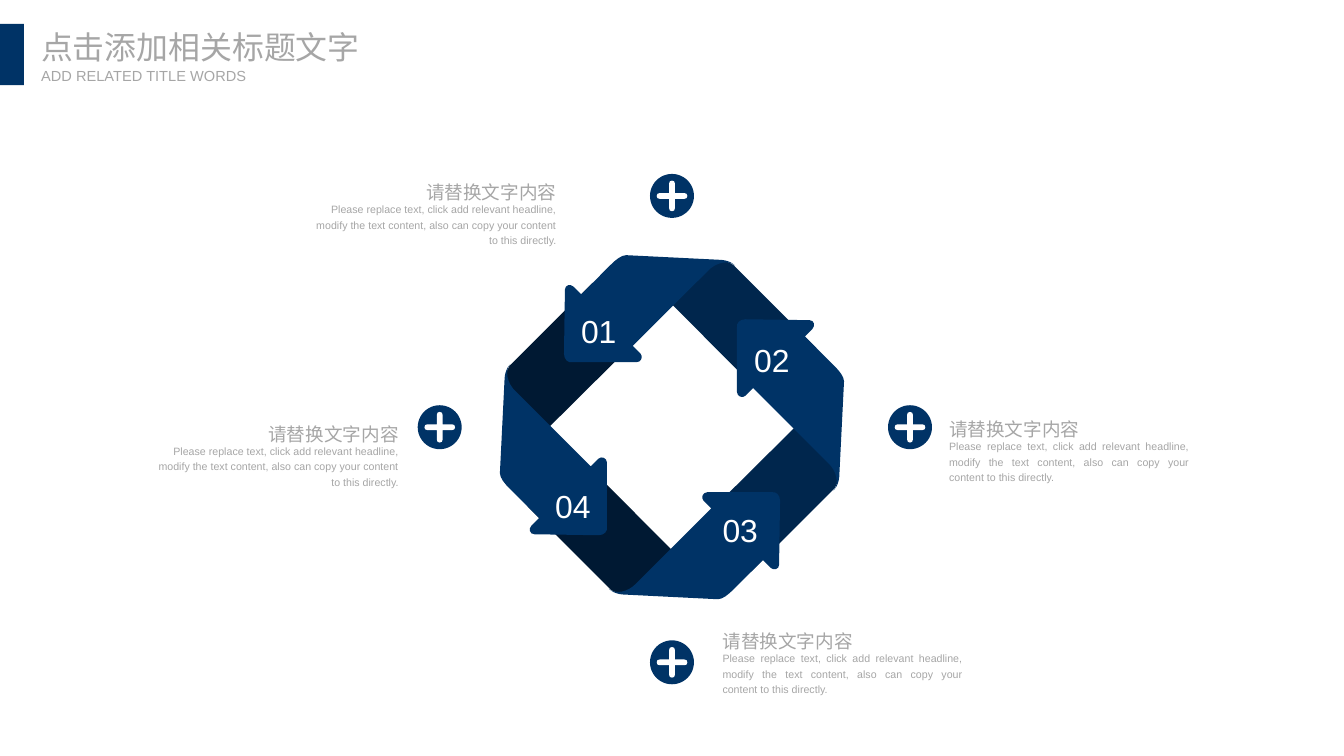
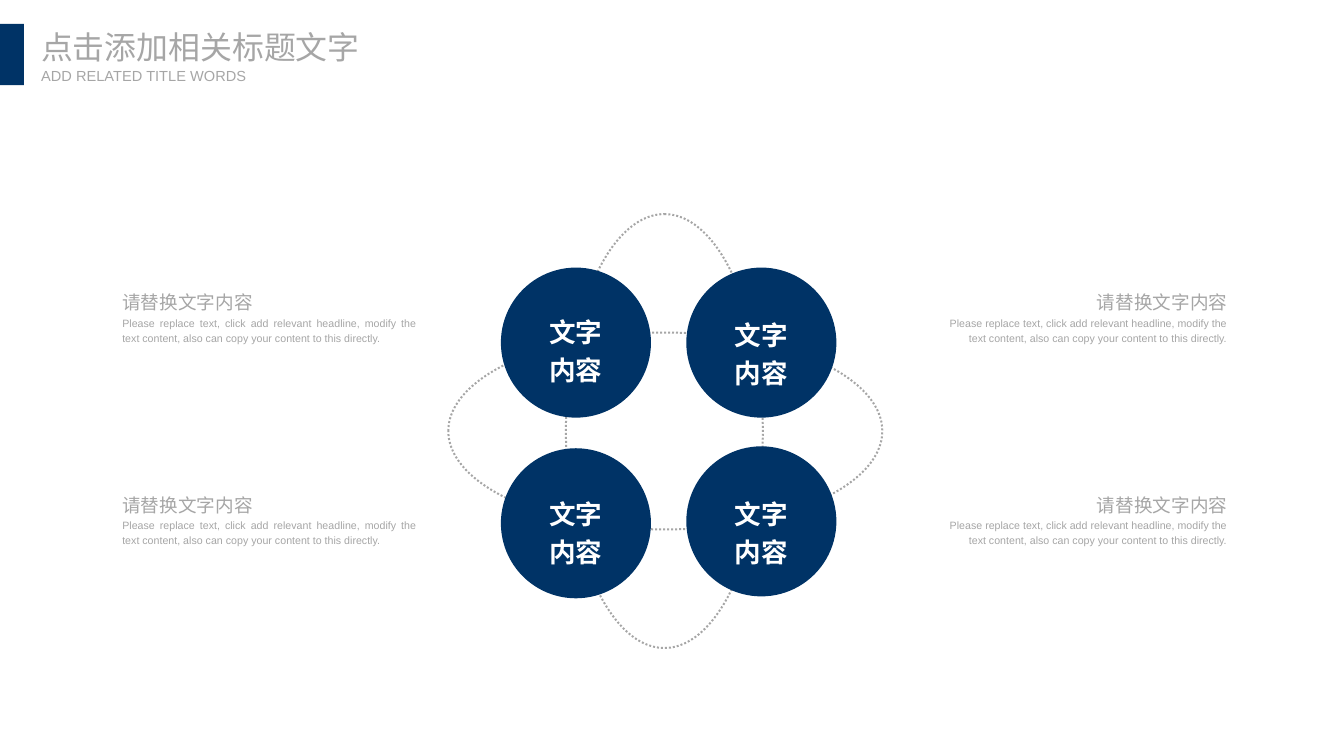
from lxml import etree
from pptx import Presentation
from pptx.dml.color import RGBColor
from pptx.enum.dml import MSO_LINE
from pptx.enum.shapes import MSO_SHAPE
from pptx.enum.text import PP_ALIGN
from pptx.oxml.ns import qn
from pptx.util import Inches, Pt

OVAL, RECT = MSO_SHAPE.OVAL, MSO_SHAPE.RECTANGLE
LEFT, RIGHT = PP_ALIGN.LEFT, PP_ALIGN.RIGHT
MID, FULL = PP_ALIGN.CENTER, PP_ALIGN.JUSTIFY
DOTS = MSO_LINE.ROUND_DOT

HUE = {"navy": "003366", "dusk": "00264D", "night": "001933",
       "grey": "A6A6A6", "white": "FFFFFF"}

# Text styles
TITLE = {"size": Pt(24), "name": "Noto Sans CJK SC"}
SUB = {"size": Pt(11), "name": "Arial"}
HEAD = {"size": Pt(14), "name": "Arial"}
BODY = {"size": Pt(8), "name": "Arial"}
COUNT = {"size": Pt(24), "name": "Arial"}
DISC = {"size": Pt(20), "name": "Arial", "bold": True}

HEADING = "请替换文字内容"
COPY = ("Please replace text, click add relevant headline, modify the text "
        "content, also can copy your content to this directly.")

# The slide is a grid of square cells, 1406 columns by 791 rows
deck = Presentation()
deck.slide_width, deck.slide_height = Inches(14.06), Inches(7.91)
CELL = deck.slide_width // 1406
blank = deck.slide_layouts[6]
ring, loops = [deck.slides.add_slide(blank) for _ in range(2)]


def label(page, box, words, style, hue="grey", align=LEFT, gap=1.2, pad=(10, 5)):
    frame = page.shapes.add_textbox(*[n * CELL for n in box]).text_frame
    frame.word_wrap = True
    frame.margin_left = frame.margin_right = pad[0] * CELL
    frame.margin_top = frame.margin_bottom = pad[1] * CELL
    para = frame.paragraphs[0]
    para.alignment, para.line_spacing = align, gap
    run = para.add_run()
    run.text = words
    for key, value in style.items():
        setattr(run.font, key, value)
    run.font.color.rgb = RGBColor.from_string(HUE[hue])


def coat(shape, hue):
    shape.shadow.inherit = False
    shape.fill.solid()
    shape.fill.fore_color.rgb = RGBColor.from_string(HUE[hue])
    shape.line.fill.background()


# Outlines around a centre: two numbers make a corner, six make a curve
STRIP = [(53, -174), (-46, -175), (98, -30), (151, -83), (64, -170),
         (59, -173, 55, -174, 53, -174)]
ARROW = [(180, -48), (180, -53, 175, -59, 170, -64), (139, -95), (147, -103),
         (150, -106, 149, -112, 144, -112), (77, -113),
         (71, -113, 67, -109, 68, -104), (68, -37),
         (68, -32, 74, -30, 77, -33), (85, -41), (163, 37),
         (173, 46, 175, 60, 169, 66), (169, 66, 174, 62, 175, 52), (180, -48)]
ARM = [(-3, -3), (-3, -13), (-3, -15, -2, -16, 0, -16), (2, -16, 3, -15, 3, -13)]

# Slide 1: round buttons
jobs = []
for x, y in [(952, 447), (460, 447), (703, 205), (703, 693)]:
    box = [n * CELL for n in (x - 23, y - 23, 46, 46)]
    coat(ring.shapes.add_shape(OVAL, *box), "navy")
    jobs.append((ARM, (x, y), range(4), "white"))

# Folded ring: one strip and one arrow, each turned by quarters
jobs += [(STRIP, (703, 447), [turn], hue)
         for turn, hue in enumerate(["dusk", "dusk", "night", "night"])]
jobs += [(ARROW, (703, 447), [turn], "navy") for turn in range(4)]

for path, (left, top), turns, hue in jobs:
    dots, sizes = [], []
    for turn in turns:
        for part in path:
            spots = list(zip(part[::2], part[1::2]))
            for _ in range(turn):
                spots = [(-y, x) for x, y in spots]
            dots += [((left + x) * CELL, (top + y) * CELL) for x, y in spots]
            sizes.append(len(spots))
    pen = ring.shapes.build_freeform(*dots[0])
    pen.add_line_segments(dots[1:], close=True)
    shape = pen.convert_to_shape()
    # Join each run of three points into one curve
    legs = iter(list(shape._element.iter(qn("a:lnTo"))))
    for size in sizes[1:]:
        trio = [next(legs) for _ in range(size)]
        if size == 3:
            bend = etree.Element(qn("a:cubicBezTo"))
            trio[0].addprevious(bend)
            for leg in trio:
                bend.append(leg[0])
                leg.getparent().remove(leg)
    coat(shape, hue)

for num, x, y in [("01", 598, 313), ("04", 571, 496), ("03", 746, 521), ("02", 779, 344)]:
    label(ring, (x, y, 58, 54), num, COUNT, "white")

# Slide 2: dotted loops
for x, spin in [(469, 0), (468, 90)]:
    oval = loops.shapes.add_shape(OVAL, x * CELL, 348 * CELL, 454 * CELL, 206 * CELL)
    oval.shadow.inherit = False
    oval.rotation = spin
    oval.fill.background()
    oval.line.color.rgb = RGBColor.from_string(HUE["grey"])
    oval.line.width, oval.line.dash_style = Pt(1.5), DOTS

# Discs, then their words
discs = [(524, 280, 39), (718, 280, 42), (718, 467, 42), (524, 469, 40)]
for x, y, drop in discs:
    coat(loops.shapes.add_shape(OVAL, *[n * CELL for n in (x, y, 157, 157)]), "navy")
for x, y, drop in discs:
    label(loops, (x + 36, y + drop, 85, 91), "文字内容", DISC, "white", MID)

# Captions: outer edge, top, alignment, body width, body drop
ends = [(592, 180, RIGHT, 282, 25), (427, 433, RIGHT, 282, 25),
        (983, 428, FULL, 271, 25), (746, 649, FULL, 271, 26)]
sides = [(edge, row, side, wide, drop) for row, drop in [(295, 29), (507, 28)]
         for edge, side, wide in [(117, FULL, 330), (1295, RIGHT, 324)]]
for page, notes, span, tall, deep, inset in [(ring, ends, 158, 36, 59, 10),
                                             (loops, sides, 238, 39, 74, 11)]:
    for edge, top, side, wide, drop in notes:
        for words, style, width, y, high in [(HEADING, HEAD, span, top, tall),
                                             (COPY, BODY, wide, top + drop, deep)]:
            x = edge - width if side == RIGHT else edge
            label(page, (x, y, width, high), words, style, align=side, pad=(inset, 5))

# Shared title band
for page in (ring, loops):
    coat(page.shapes.add_shape(RECT, 0, 25 * CELL, 25 * CELL, 64 * CELL), "navy")
    label(page, (43, 29, 337, 40), "点击添加相关标题文字", TITLE, gap=1.0, pad=(0, 0))
    label(page, (43, 70, 218, 19), "ADD RELATED TITLE WORDS", SUB, gap=1.0, pad=(0, 0))

deck.save("out.pptx")
